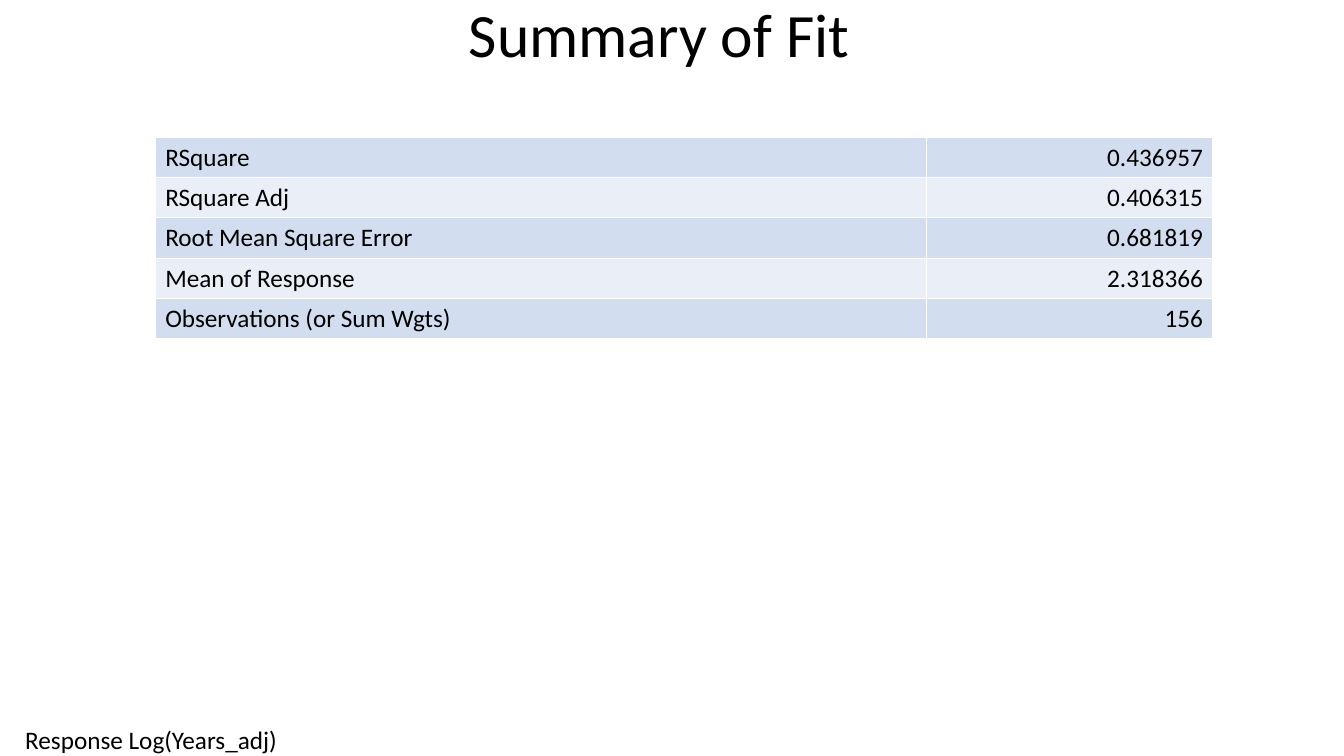
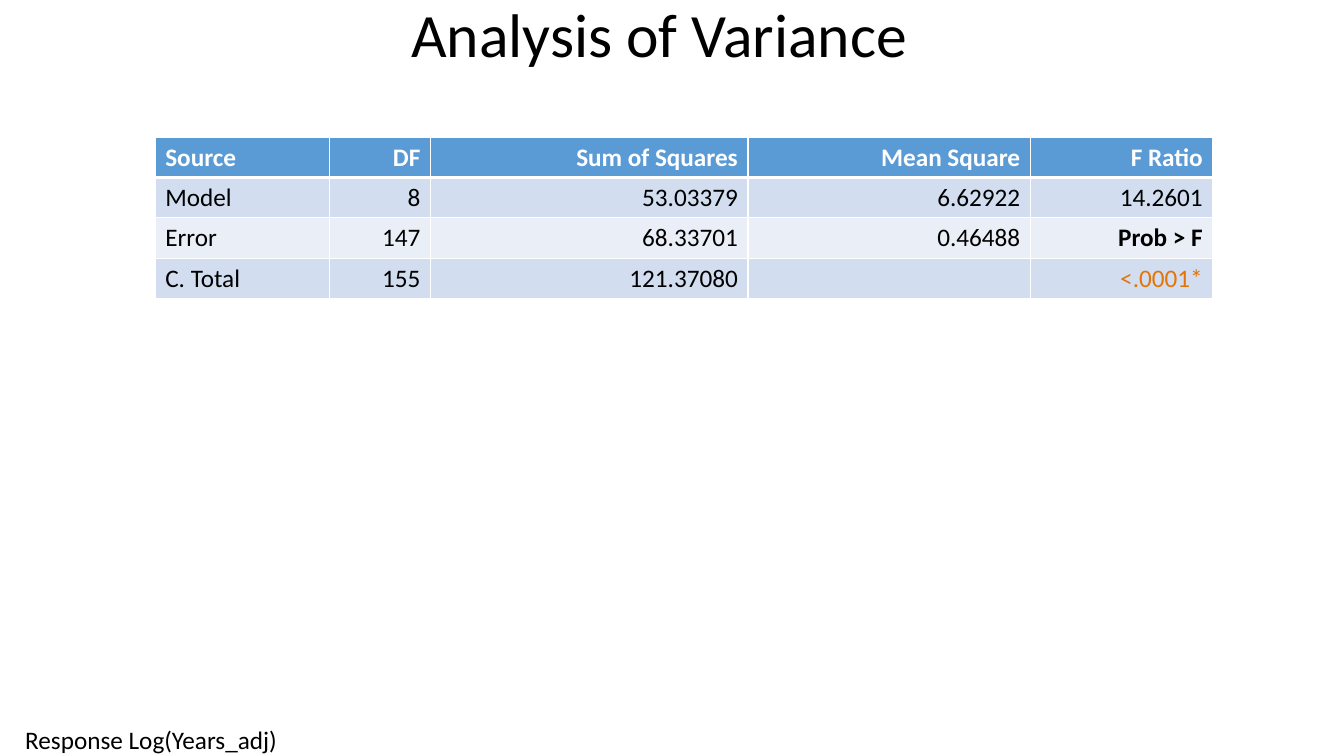
from dataclasses import dataclass, field
from typing import Any

from lxml import etree
from pptx import Presentation
from pptx.dml.color import RGBColor
from pptx.enum.text import MSO_ANCHOR, MSO_AUTO_SIZE, PP_ALIGN
from pptx.oxml.ns import qn
from pptx.util import Inches, Pt

LEFT, CENTER, RIGHT = PP_ALIGN.LEFT, PP_ALIGN.CENTER, PP_ALIGN.RIGHT
TOP, MIDDLE = MSO_ANCHOR.TOP, MSO_ANCHOR.MIDDLE
FIT_SHAPE, NO_FIT = MSO_AUTO_SIZE.SHAPE_TO_FIT_TEXT, MSO_AUTO_SIZE.NONE
BLANK = 6
SLIDE_W, SLIDE_H = Inches(13.33), Inches(7.5)


@dataclass(frozen=True)
class Theme:
    """Colours, font and sizes shared by the slides."""
    font: str = "Calibri"
    title_size: int = 44
    body_size: int = 18
    ink: str = "000000"
    paper: str = "FFFFFF"
    header: str = "5B9BD5"
    bands: tuple[str, str] = ("D2DEEF", "EAEFF7")
    accent: str = "E57406"
    rule: int = 1
    header_rule: int = 3


@dataclass(frozen=True)
class Box:
    """A place on the slide, in hundredths of its width and height."""
    left: float
    top: float
    width: float
    height: float

    def emu(self) -> tuple[int, int, int, int]:
        """Return left, top, width and height as lengths."""
        return across(self.left), down(self.top), across(self.width), down(self.height)


@dataclass(frozen=True)
class TextStyle:
    """The place and format of a text that every slide has."""
    box: Box
    size: int
    frame: dict[str, Any]
    paragraph: dict[str, Any]


@dataclass(frozen=True)
class StatTable:
    """A titled table; accents maps (row, column) to font changes."""
    title: str
    columns: tuple[float, ...]
    rows: tuple[tuple[str, ...], ...]
    has_header: bool = False
    accents: dict[tuple[int, int], dict[str, Any]] = field(default_factory=dict)


THEME = Theme()
TABLE_LEFT, TABLE_TOP, ROW_H = 11.55, 18.13, 5.33
FOOTER_TEXT = "Response Log(Years_adj)"
TITLE = TextStyle(
    Box(0, 0, 98.12, 10), THEME.title_size,
    {"word_wrap": True, "auto_size": NO_FIT, "vertical_anchor": MIDDLE},
    {"alignment": CENTER, "line_spacing": 0.9})
FOOTER = TextStyle(
    Box(1.88, 95.87, 18.98, 4.13), THEME.body_size,
    {"word_wrap": False, "auto_size": FIT_SHAPE, "vertical_anchor": TOP,
     "margin_left": 0, "margin_top": 0, "margin_right": 0, "margin_bottom": 0},
    {"alignment": LEFT})

TABLES = (
    StatTable("Summary of Fit", (57.39, 21.31), (
        ("RSquare", "0.436957"),
        ("RSquare Adj", "0.406315"),
        ("Root Mean Square Error", "0.681819"),
        ("Mean of Response", "2.318366"),
        ("Observations (or Sum Wgts)", "156"))),
    StatTable("Analysis of Variance", (12.98, 7.5, 23.63, 21.01, 13.58), (
        ("Source", "DF", "Sum of Squares", "Mean Square", "F Ratio"),
        ("Model", "8", "53.03379", "6.62922", "14.2601"),
        ("Error", "147", "68.33701", "0.46488", "Prob > F"),
        ("C. Total", "155", "121.37080", "", "<.0001*")),
        has_header=True,
        accents={(2, 4): {"bold": True}, (3, 4): {"color": THEME.accent}}),
)


def across(share: float) -> int:
    """Turn hundredths of the slide width into a length."""
    return round(SLIDE_W * share / 100)


def down(share: float) -> int:
    """Turn hundredths of the slide height into a length."""
    return round(SLIDE_H * share / 100)


def apply(target: Any, values: dict[str, Any]) -> None:
    """Set each named attribute of the target."""
    for name, value in values.items():
        setattr(target, name, value)


def write(p: Any, text: str, size: int, color: str = THEME.ink, bold: bool = False) -> None:
    """Add one formatted run to a paragraph."""
    r = p.add_run()
    r.text = text
    apply(r.font, {"name": THEME.font, "size": Pt(size), "bold": bold})
    r.font.color.rgb = RGBColor.from_string(color)


def add_text(slide: Any, text: str, style: TextStyle) -> None:
    """Add a text box in one of the shared styles."""
    tf = slide.shapes.add_textbox(*style.box.emu()).text_frame
    apply(tf, style.frame)
    p = tf.paragraphs[0]
    apply(p, style.paragraph)
    write(p, text, style.size)


def add_borders(cell: Any, top: int, bottom: int) -> None:
    """Rule the four sides of a cell, with widths in points."""
    tc_pr = cell._tc.get_or_add_tcPr()
    widths = {"a:lnL": THEME.rule, "a:lnR": THEME.rule, "a:lnT": top, "a:lnB": bottom}
    for tag, width in widths.items():
        ln = etree.SubElement(tc_pr, qn(tag), w=str(Pt(width)))
        fill = etree.SubElement(ln, qn("a:solidFill"))
        etree.SubElement(fill, qn("a:srgbClr"), val=THEME.paper)


def add_stat_table(slide: Any, stat: StatTable) -> None:
    """Draw a banded table with labels left and figures right."""
    box = Box(TABLE_LEFT, TABLE_TOP, sum(stat.columns), ROW_H * len(stat.rows))
    table = slide.shapes.add_table(len(stat.rows), len(stat.columns), *box.emu()).table
    apply(table, {"first_row": stat.has_header, "horz_banding": False})
    for column, share in zip(table.columns, stat.columns):
        column.width = across(share)
    for i, row in enumerate(stat.rows):
        is_header = stat.has_header and i == 0
        band = THEME.bands[(i - stat.has_header) % 2]
        font = {"color": THEME.paper, "bold": True} if is_header else {}
        top = THEME.header_rule if stat.has_header and i == 1 else THEME.rule
        bottom = THEME.header_rule if is_header else THEME.rule
        for j, text in enumerate(row):
            cell = table.cell(i, j)
            add_borders(cell, top, bottom)
            cell.fill.solid()
            cell.fill.fore_color.rgb = RGBColor.from_string(THEME.header if is_header else band)
            p = cell.text_frame.paragraphs[0]
            p.alignment = RIGHT if j else LEFT
            if text:
                write(p, text, THEME.body_size, **(font | stat.accents.get((i, j), {})))


def build() -> None:
    """Build one slide for each table and save the presentation."""
    prs = Presentation()
    apply(prs, {"slide_width": SLIDE_W, "slide_height": SLIDE_H})
    for stat in TABLES:
        slide = prs.slides.add_slide(prs.slide_layouts[BLANK])
        add_text(slide, FOOTER_TEXT, FOOTER)
        add_text(slide, stat.title, TITLE)
        add_stat_table(slide, stat)
    prs.save("out.pptx")


build()
